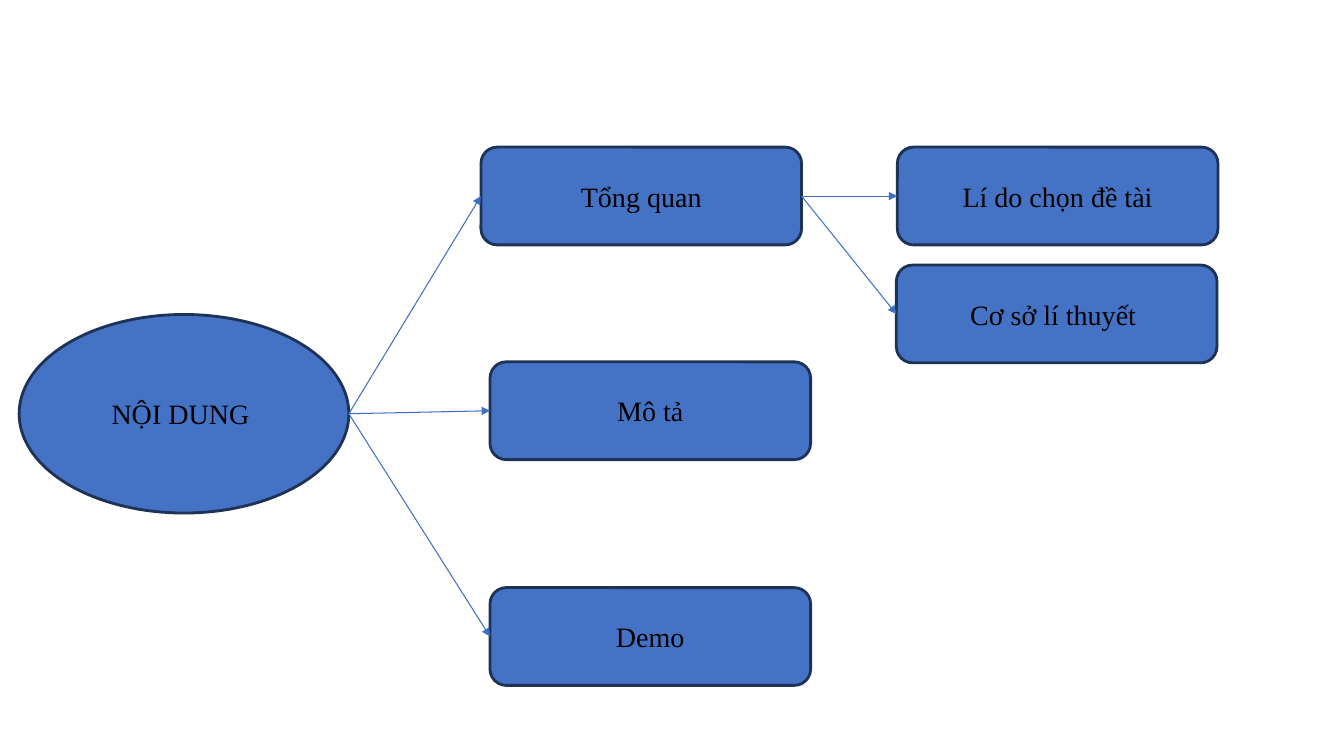
from dataclasses import dataclass

from pptx import Presentation
from pptx.dml.color import RGBColor
from pptx.enum.shapes import MSO_CONNECTOR, MSO_SHAPE
from pptx.enum.text import MSO_ANCHOR, PP_ALIGN
from pptx.oxml.ns import qn
from pptx.util import Inches, Pt
from lxml.etree import SubElement


@dataclass(frozen=True)
class Theme:
    fill: RGBColor = RGBColor(0x44, 0x72, 0xC4)
    outline: RGBColor = RGBColor(0x1E, 0x32, 0x56)
    arrow: RGBColor = RGBColor(0x3F, 0x6F, 0xC3)
    text: RGBColor = RGBColor(0, 0, 0)
    font: str = "Times New Roman"
    text_size: float = 20
    outline_width: float = 2
    arrow_width: float = 0.75


THEME = Theme()
NODE_WIDTH, NODE_HEIGHT = 3.18, 0.97
RIGHT, LEFT = 3, 1


def write_text(shape, text, size=THEME.text_size, color=THEME.text, align=PP_ALIGN.CENTER):
    frame = shape.text_frame
    frame.word_wrap = True
    frame.vertical_anchor = MSO_ANCHOR.MIDDLE
    paragraph = frame.paragraphs[0]
    paragraph.alignment = align
    run = paragraph.add_run()
    run.text = text
    run.font.name = THEME.font
    run.font.size = Pt(size)
    run.font.color.rgb = color


def add_node(slide, text, box, kind=MSO_SHAPE.ROUNDED_RECTANGLE):
    shape = slide.shapes.add_shape(kind, *(Inches(length) for length in box))
    shape.shadow.inherit = False
    shape.fill.solid()
    shape.fill.fore_color.rgb = THEME.fill
    shape.line.color.rgb = THEME.outline
    shape.line.width = Pt(THEME.outline_width)
    write_text(shape, text)
    return shape


def add_arrow(slide, source, target):
    connector = slide.shapes.add_connector(
        MSO_CONNECTOR.STRAIGHT,
        source.left + source.width, source.top + source.height // 2,
        target.left, target.top + target.height // 2,
    )
    if source.auto_shape_type == MSO_SHAPE.ROUNDED_RECTANGLE:
        connector.begin_connect(source, RIGHT)
    connector.end_connect(target, LEFT)
    connector.line.color.rgb = THEME.arrow
    connector.line.width = Pt(THEME.arrow_width)
    SubElement(connector.line._get_or_add_ln(), qn("a:tailEnd"), type="triangle")
    SubElement(connector._element.spPr, qn("a:effectLst"))


def add_branches(slide, source, box, branches):
    left, top = box
    nodes = []
    for text, across, down in branches:
        node = add_node(slide, text, (left + across, top + down, NODE_WIDTH, NODE_HEIGHT))
        add_arrow(slide, source, node)
        nodes.append(node)
    return nodes


def add_content_map(slide, box):
    left, top = box
    root = add_node(slide, "NỘI DUNG ", (left, top + 1.66, 3.27, 1.97), MSO_SHAPE.OVAL)
    overview, *_ = add_branches(slide, root, (left + 4.58, top), [
        ("Tổng quan", 0, 0),
        ("Mô tả", 0.09, 2.13),
        ("Demo", 0.09, 4.37),
    ])
    add_branches(slide, overview, (left + 8.7, top), [
        ("Lí do chọn đề tài", 0.01, 0),
        ("Cơ sở lí thuyết ", 0, 1.17),
    ])


def main():
    presentation = Presentation()
    presentation.slide_width = Inches(13.33)
    presentation.slide_height = Inches(7.5)
    slide = presentation.slides.add_slide(presentation.slide_layouts[6])
    add_content_map(slide, (0.19, 1.46))
    presentation.save("out.pptx")


if __name__ == "__main__":
    main()
